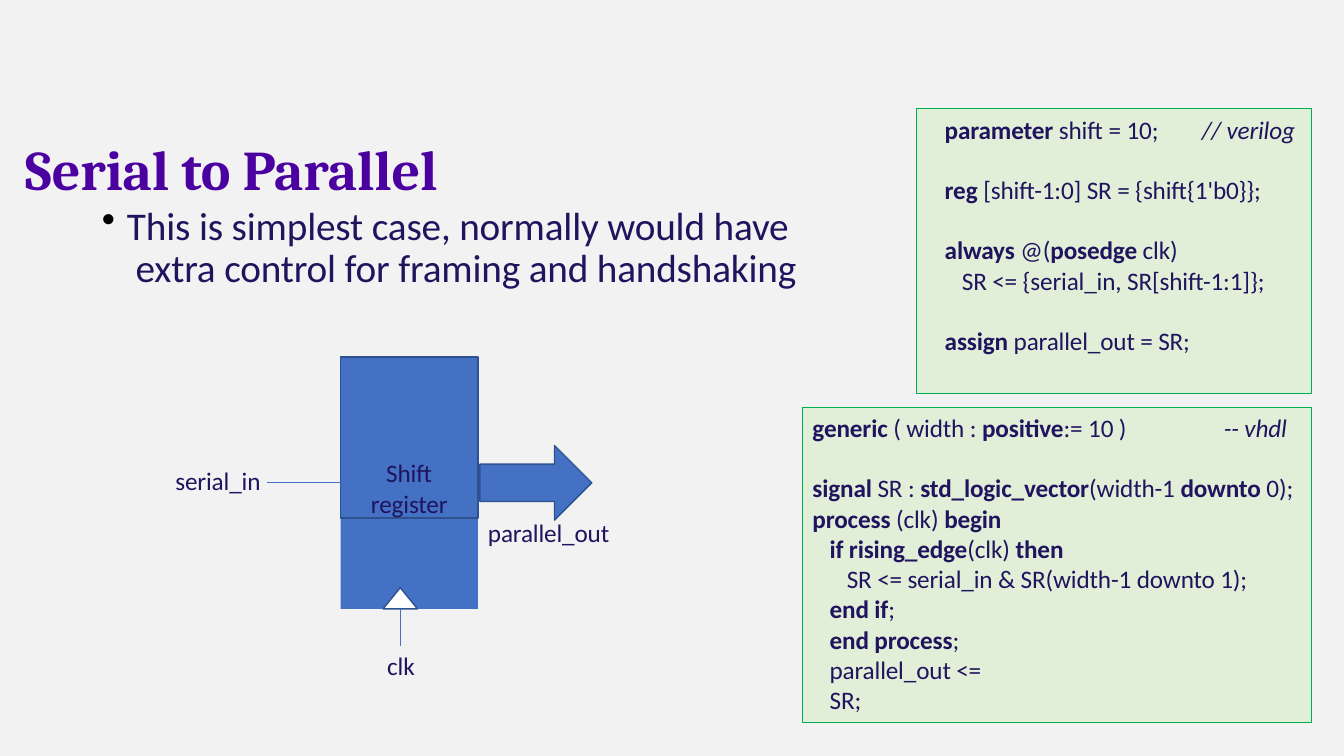
"""Build the serial-to-parallel shift register slide."""
import pptx
import pptx.util
import pptx.dml.color
import pptx.enum.shapes
import pptx.enum.text
import pptx.oxml.ns
import lxml.etree

Inches, Pt = pptx.util.Inches, pptx.util.Pt
SHAPE = pptx.enum.shapes.MSO_SHAPE
ANCHOR = pptx.enum.text.MSO_ANCHOR
ALIGN = pptx.enum.text.PP_ALIGN

THEME = dict(background="F2F2F2", title="4B00A0", text="1F145D", panel="E1EFD9",
             panel_line="00AF50", block="4471C4", outline="2E528F",
             clock="FFFFFF", bullet="000000", heading_font="Cambria",
             body_font="Calibri", title_size=40, bullet_size=28, body_size=18)

TITLE = "Serial to Parallel"
POINT = "This is simplest case, normally would have\n extra control for framing and handshaking"

GAP = 21.6
STEP = 0.17
# Each code line: space before, indent level, runs of (text, style)
VERILOG = [
    (0, 0, [("parameter ", "b"), ("shift = 10;\t", ""), ("// verilog", "i")]),
    (GAP, 0, [("reg ", "b"), ("[shift-1:0] SR = {shift{1'b0}};", "")]),
    (GAP, 0, [("always ", "b"), ("@(", ""), ("posedge ", "b"), ("clk)", "")]),
    (0, 1, [("SR <= {serial_in, SR[shift-1:1]};", "")]),
    (GAP, 0, [("assign ", "b"), ("parallel_out = SR;", "")]),
]
VHDL = [
    (0, 0, [("generic ", "b"), ("( width : ", ""), ("positive", "b"),
            (":= 10 )\t", ""), ("-- vhdl", "i")]),
    (GAP, 0, [("signal ", "b"), ("SR : ", ""), ("std_logic_vector", "b"),
              ("(width-1 ", ""), ("downto ", "b"), ("0);", "")]),
    (0, 0, [("process ", "b"), ("(clk) ", ""), ("begin", "b")]),
    (0, 1, [("if rising_edge", "b"), ("(clk) ", ""), ("then", "b")]),
    (0, 2, [("SR <= serial_in & SR(width-1 downto 1);", "")]),
    (0, 1, [("end if", "b"), (";", "")]),
    (0, 1, [("end process", "b"), (";", "")]),
    (0, 1, [("parallel_out <=\nSR;", "")]),
]
PANELS = [((9.09, 1.08, 3.92, 2.82), 0.28, 2.55, VERILOG),
          ((7.96, 4.04, 5.05, 3.13), 0.1, 4.08, VHDL)]
LABELS = [("parallel_out", (4.84, 5.11, 1.4, 0.33)),
          ("clk", (3.84, 6.43, 0.5, 0.33)),
          ("serial_in", (1.74, 4.6, 0.9, 0.33))]

BLOCK = (3.38, 3.54, 1.36, 2.5)
REGISTER = (3.38, 3.54, 1.36, 1.6)
CLOCK = (3.8, 5.83, 0.34, 0.21)
ARROW = (4.76, 4.42, 1.11, 0.74)
CLOCK_WIRE = 0.37
SERIAL_START = (2.65, 4.79)


def rgb(name):
    return pptx.dml.color.RGBColor.from_string(THEME[name])


def add_element(parent, tag, **attrs):
    el = lxml.etree.SubElement(parent, pptx.oxml.ns.qn(tag))
    for key, value in attrs.items():
        el.set(key, str(value))
    return el


def write(sp, lines, size="body_size", font="body_font", color="text", bold=False,
          align=ALIGN.LEFT, anchor=ANCHOR.TOP, inset=(0, 0.02, 0, 0), tab=None,
          bullet=None, leading=None, wrap=True):
    if isinstance(lines, str):
        lines = [(0, 0, [(lines, "b" if bold else "")])]
    tf = sp.text_frame
    tf.word_wrap = wrap
    tf.vertical_anchor = anchor
    tf.margin_left, tf.margin_top, tf.margin_right, tf.margin_bottom = map(Inches, inset)
    for n, (before, level, runs) in enumerate(lines):
        p = tf.paragraphs[0] if n == 0 else tf.add_paragraph()
        pPr = p._p.get_or_add_pPr()
        if level:
            pPr.set("marL", str(Inches(STEP * level)))
        if bullet:
            pPr.set("marL", str(Inches(0.26)))
            pPr.set("indent", str(Inches(-0.25)))
            add_element(add_element(pPr, "a:buClr"), "a:srgbClr", val=THEME["bullet"])
            add_element(pPr, "a:buChar", char=bullet)
        if tab and any("\t" in text for text, style in runs):
            add_element(add_element(pPr, "a:tabLst"), "a:tab", pos=Inches(tab), algn="l")
        p.alignment = align
        if before:
            p.space_before = Pt(before)
        if leading:
            p.line_spacing = Pt(leading)
        for text, style in runs:
            for k, part in enumerate(text.split("\n")):
                if k:
                    p.add_line_break()
                r = p.add_run()
                r.text = part
                r.font.size = Pt(THEME[size])
                r.font.name = THEME[font]
                r.font.color.rgb = rgb(color)
                r.font.bold = style == "b"
                r.font.italic = style == "i"
                r._r.get_or_add_rPr().set("spc", "-10")


def add_box(slide, box):
    return slide.shapes.add_textbox(*map(Inches, box))


def add_shape(slide, kind, box, fill=None, line=None, width=1):
    sp = slide.shapes.add_shape(kind, *map(Inches, box))
    sp.shadow.inherit = False
    if fill:
        sp.fill.solid()
        sp.fill.fore_color.rgb = rgb(fill)
    else:
        sp.fill.background()
    if line:
        sp.line.color.rgb = rgb(line)
        sp.line.width = Pt(width)
    else:
        sp.line.fill.background()
    return sp


def add_wire(slide, start, end):
    wire = slide.shapes.add_connector(pptx.enum.shapes.MSO_CONNECTOR.STRAIGHT,
                                      *map(Inches, start + end))
    wire.line.color.rgb = rgb("block")
    wire.line.width = Pt(0.5)
    add_element(wire._element.spPr, "a:effectLst")
    return wire


def main():
    prs = pptx.Presentation()
    prs.slide_width, prs.slide_height = Inches(13.33), Inches(7.5)
    slide = prs.slides.add_slide(prs.slide_layouts[6])
    slide.background.fill.solid()
    slide.background.fill.fore_color.rgb = rgb("background")

    write(add_box(slide, (0.25, 1.28, 5.81, 0.76)), TITLE, size="title_size",
          font="heading_font", color="title", bold=True, anchor=ANCHOR.MIDDLE)
    write(add_box(slide, (1, 1.97, 7.1, 0.91)), POINT, size="bullet_size",
          inset=(0, 0.07, 0, 0), bullet="•", leading=30.2)

    for box, left, tab, code in PANELS:
        panel = add_shape(slide, SHAPE.RECTANGLE, box, "panel", "panel_line", 0.75)
        write(panel, code, inset=(left, 0.05, 0, 0), tab=tab)

    block = add_shape(slide, SHAPE.RECTANGLE, BLOCK, "block")
    register = add_shape(slide, SHAPE.RECTANGLE, REGISTER, line="outline")
    write(register, "Shift\nregister", align=ALIGN.CENTER, anchor=ANCHOR.BOTTOM,
          inset=(0, 0, 0, 0))
    add_shape(slide, SHAPE.ISOSCELES_TRIANGLE, CLOCK, "clock", "outline")
    add_shape(slide, SHAPE.RIGHT_ARROW, ARROW, "block", "outline")

    clock_x, clock_y = CLOCK[0] + CLOCK[2] / 2, CLOCK[1] + CLOCK[3]
    add_wire(slide, (clock_x, clock_y), (clock_x, clock_y + CLOCK_WIRE))
    serial = add_wire(slide, SERIAL_START, (BLOCK[0], BLOCK[1] + BLOCK[3] / 2))
    serial.end_connect(block, 1)

    for text, box in LABELS:
        write(add_box(slide, box), text, wrap=False)
    prs.save("out.pptx")


if __name__ == "__main__":
    main()
